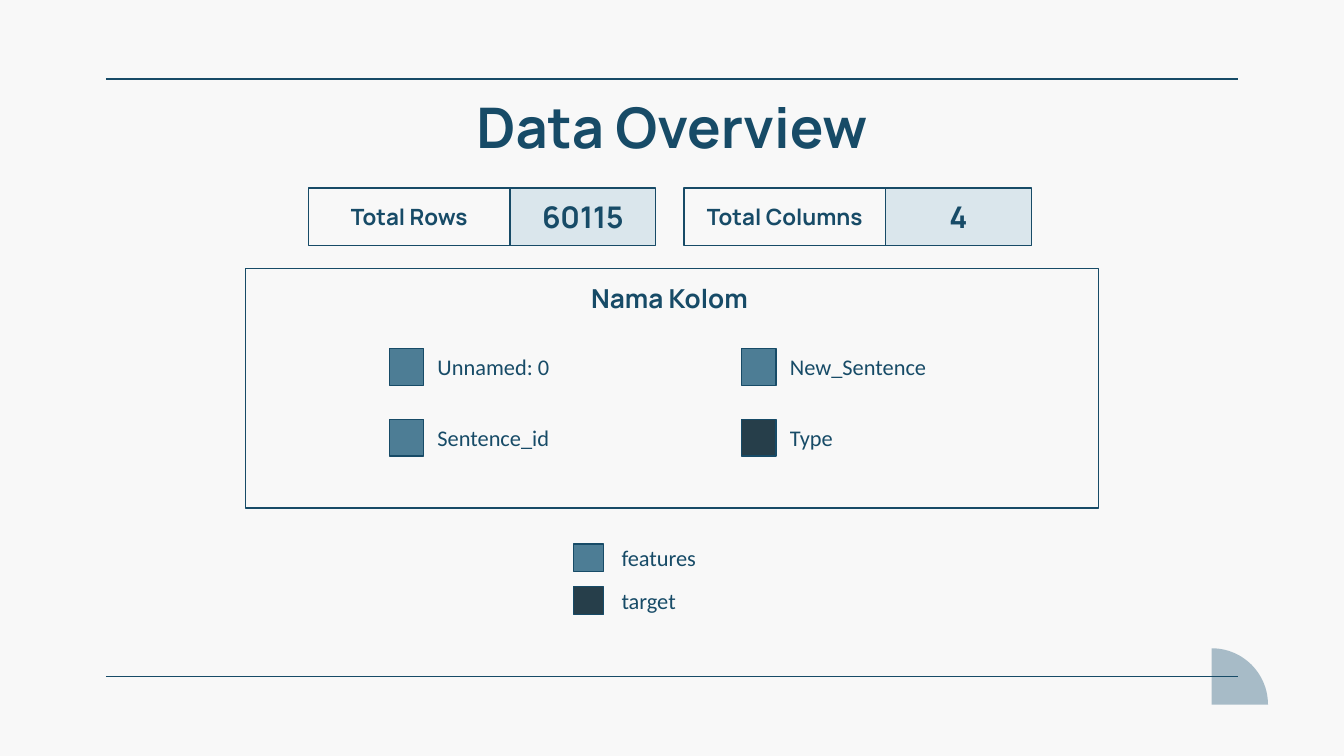
from math import cos, pi, sin

from pptx import Presentation
from pptx.dml.color import RGBColor
from pptx.enum.shapes import MSO_CONNECTOR, MSO_SHAPE
from pptx.enum.text import MSO_ANCHOR, PP_ALIGN
from pptx.oxml.ns import qn
from pptx.util import Pt
from lxml import etree

LINE = MSO_CONNECTOR.STRAIGHT
RECTANGLE = MSO_SHAPE.RECTANGLE
TOP, MIDDLE = MSO_ANCHOR.TOP, MSO_ANCHOR.MIDDLE
LEFT, CENTER = PP_ALIGN.LEFT, PP_ALIGN.CENTER

INK, PAPER, PALE = "174B67", "F8F8F8", "DAE6EC"
FEATURE, TARGET, CORNER = "4D7D95", "263E4A", "A7BBC7"

TITLE = {"name": "Manrope", "size": Pt(30), "bold": True}
HEADING = {"name": "Manrope", "size": Pt(14), "bold": True}
CAPTION = {"name": "Manrope", "size": Pt(12), "bold": True}
FIGURE = {"name": "Manrope", "size": Pt(16), "bold": True}
LABEL = {"name": "Calibri", "size": Pt(12), "bold": False}


def color(value):
    return RGBColor.from_string(value)


def write(shape, text, font_format, align=CENTER, anchor=MIDDLE):
    frame = shape.text_frame
    frame_format = {"word_wrap": True, "vertical_anchor": anchor}
    for side in ("left", "top", "right", "bottom"):
        frame_format["margin_" + side] = Pt(7.2)
    for name, value in frame_format.items():
        setattr(frame, name, value)
    paragraph = frame.paragraphs[0]
    paragraph.alignment = align
    run = paragraph.add_run()
    run.text = text
    for name, value in font_format.items():
        setattr(run.font, name, value)
    run.font.color.rgb = color(INK)


def add_text(slide, box, text, font_format, align=LEFT, anchor=MIDDLE):
    shape = slide.shapes.add_textbox(*map(Pt, box))
    write(shape, text, font_format, align, anchor)


def add_box(slide, box, fill=None):
    shape = slide.shapes.add_shape(RECTANGLE, *map(Pt, box))
    shape.shadow.inherit = False
    if fill:
        shape.fill.solid()
        shape.fill.fore_color.rgb = color(fill)
    else:
        shape.fill.background()
    shape.line.color.rgb = color(INK)
    shape.line.width = Pt(0.75)
    return shape


def add_rule(slide, left, top, width):
    rule = slide.shapes.add_connector(LINE, Pt(left), Pt(top), Pt(left + width), Pt(top))
    rule.line.color.rgb = color(INK)
    rule.line.width = Pt(0.75)
    etree.SubElement(rule._element.spPr, qn("a:effectLst"))


def add_quarter_circle(slide, left, top, size):
    bottom = top + size
    steps = 48
    angles = [pi / 2 * step / steps for step in range(steps + 1)]
    arc = [(Pt(left + size * sin(a)), Pt(bottom - size * cos(a))) for a in angles]
    builder = slide.shapes.build_freeform(Pt(left), Pt(bottom))
    builder.add_line_segments(arc, close=True)
    shape = builder.convert_to_shape()
    shape.shadow.inherit = False
    shape.fill.solid()
    shape.fill.fore_color.rgb = color(CORNER)
    shape.line.fill.background()


def add_frame(slide, left, top, width, height):
    add_quarter_circle(slide, left + width - 14.1, top + height - 15.1, 30.2)
    for offset in (0, height):
        add_rule(slide, left, top + offset, width)


def add_total(slide, left, top, width, height, caption, figure):
    caption_width = 108
    write(add_box(slide, (left, top, caption_width, height)), caption, CAPTION)
    figure_box = (left + caption_width, top, width - caption_width, height)
    write(add_box(slide, figure_box, PALE), figure, FIGURE)


def add_key(slide, left, top, width, height, swatch_width, gap, text, fill):
    add_box(slide, (left, top, swatch_width, height), fill)
    offset = swatch_width + gap
    add_text(slide, (left + offset, top, width - offset, height), text, LABEL)


def add_columns_panel(slide, left, top, width, height):
    panel = add_box(slide, (left, top, width, height), PAPER)
    write(panel, "Nama Kolom ", HEADING, anchor=TOP)
    grid = [
        [("Unnamed: 0", FEATURE), ("New_Sentence", FEATURE)],
        [("Sentence_id", FEATURE), ("Type", TARGET)],
    ]
    for row, keys in enumerate(grid):
        for column, (text, fill) in enumerate(keys):
            key_left = left + 77 + column * 188.8
            key_top = top + 42.6 + row * 38
            add_key(slide, key_left, key_top, 120, 19.8, 18.4, 0.3, text, fill)


def add_legend(slide, left, top, width, height):
    key_height = 14.8
    keys = [("features", FEATURE), ("target", TARGET)]
    for row, (text, fill) in enumerate(keys):
        key_top = top + row * (height - key_height)
        add_key(slide, left, key_top, width, key_height, 16, 2.5, text, fill)


def main():
    presentation = Presentation()
    presentation.slide_width = Pt(720)
    presentation.slide_height = Pt(405)
    slide = presentation.slides.add_slide(presentation.slide_layouts[6])
    slide.background.fill.solid()
    slide.background.fill.fore_color.rgb = color(PAPER)

    add_frame(slide, 56.8, 42.4, 606.4, 320)
    add_text(slide, (56.8, 42.4, 606.4, 41), "Data Overview", TITLE, CENTER, TOP)
    totals = [("Total Rows", "60115"), ("Total Columns", "4")]
    for index, (caption, figure) in enumerate(totals):
        add_total(slide, 165.3 + index * 201.2, 100.7, 186, 30.8, caption, figure)
    add_columns_panel(slide, 131.6, 144, 457, 128.2)
    add_legend(slide, 307.4, 291.4, 90, 37.8)
    presentation.save("out.pptx")


if __name__ == "__main__":
    main()
